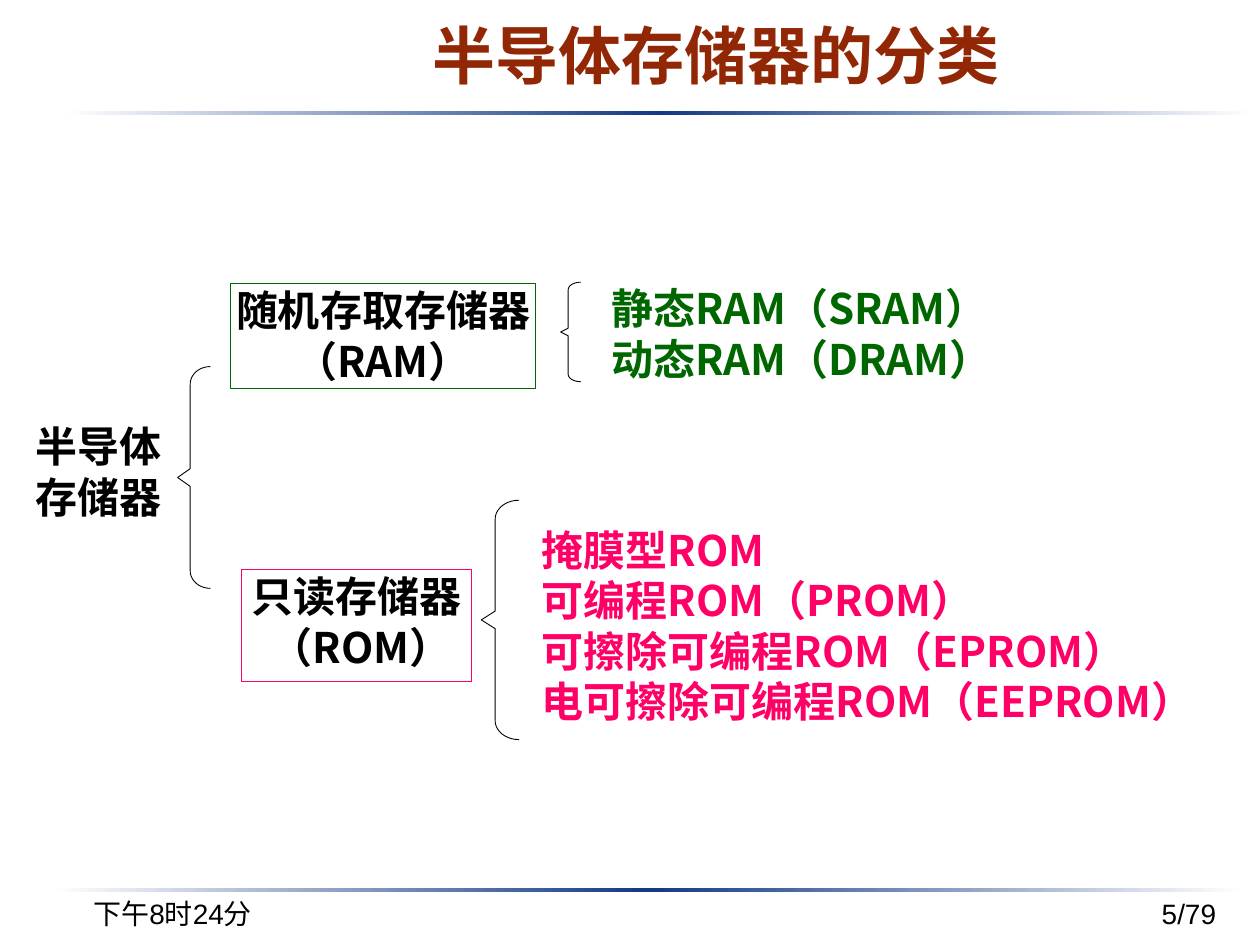
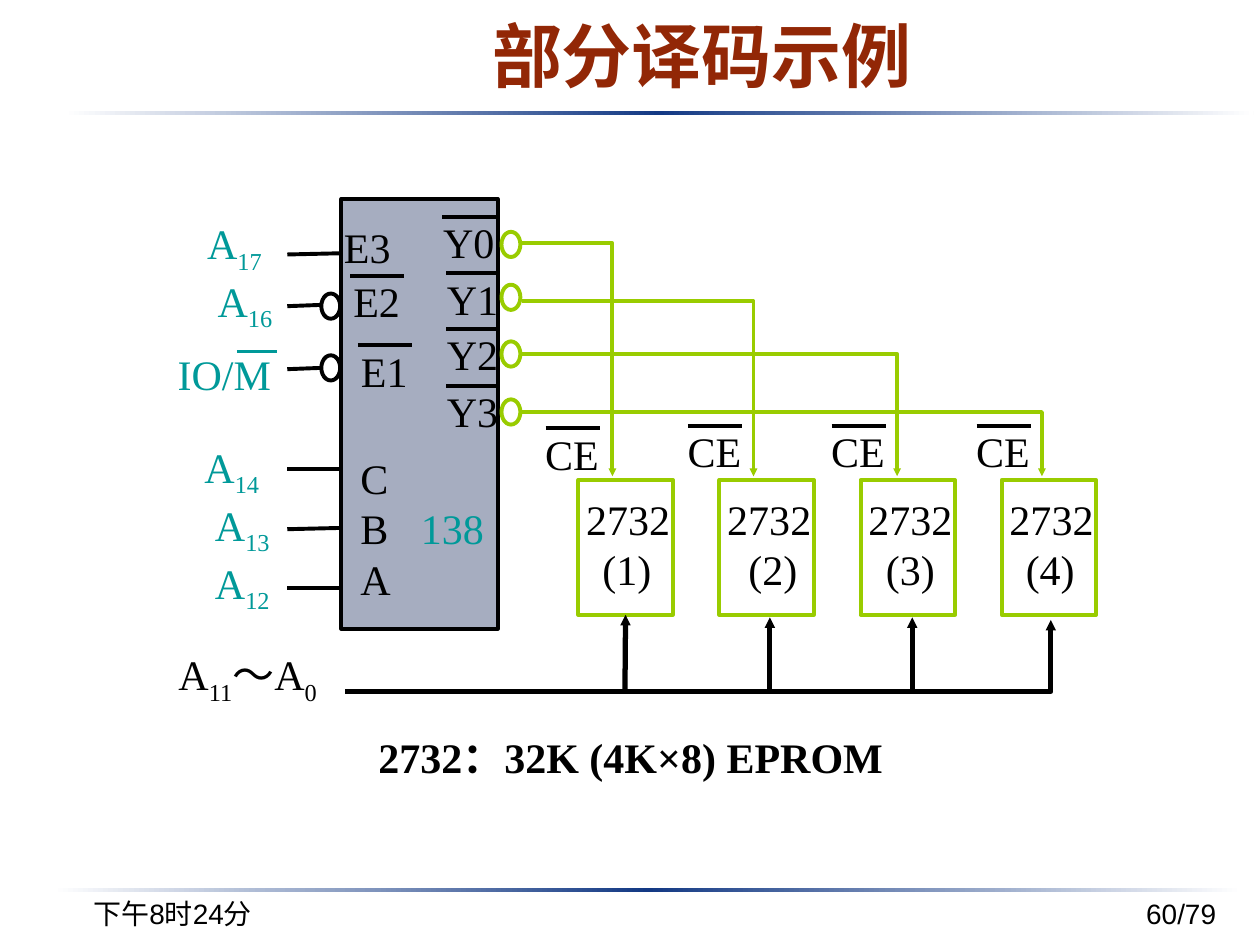
from dataclasses import dataclass
from math import cos, pi, sin
from typing import NamedTuple

from lxml.etree import SubElement
from pptx import Presentation
from pptx.dml.color import RGBColor
from pptx.enum.shapes import MSO_CONNECTOR as CONN, MSO_SHAPE as SHAPE
from pptx.enum.text import MSO_ANCHOR as ANCHOR, PP_ALIGN as ALIGN
from pptx.oxml.ns import qn
from pptx.util import Pt

PX = 9144


@dataclass(frozen=True)
class Theme:
    white: str = "FFFFFF"
    black: str = "000000"
    navy: str = "133984"
    rust: str = "922706"
    green: str = "006600"
    pink: str = "FF0066"
    teal: str = "009999"
    lime: str = "99CC00"
    chip: str = "A6ADC0"
    sans: str = "Arial"
    cjk: str = "Noto Sans CJK SC"
    serif: str = "Times New Roman"
    body: int = 24
    footer: int = 16
    hair: float = 0.5
    wire: float = 2.25
    bus: float = 3


T = Theme()


class Box(NamedTuple):
    x: int
    y: int
    w: int
    h: int


class Style(NamedTuple):
    font: str
    color: str = T.black
    size: int = T.body
    bold: bool = False
    align: ALIGN = ALIGN.CENTER
    anchor: ANCHOR = ANCHOR.TOP
    inset: tuple[int, int, int, int] = (1, 1, 1, 1)
    wrap: bool = True
    before: float = 0


class Brace(NamedTuple):
    outer: int
    stem: int
    tip: int
    top: int
    bottom: int
    corner: int
    notch: int


class Output(NamedTuple):
    label_x: int
    label_y: int
    bubble_y: int
    wire_y: int
    drop_x: int
    ce_x: int
    ce_y: int
    number_x: int


SERIF = Style(T.serif)
SIGNAL = Style(T.serif, T.teal)
LEFT = Style(T.serif, align=ALIGN.LEFT)
HEADING = Style(T.cjk, bold=True)
FOOTER = Style(T.sans, size=T.footer, anchor=ANCHOR.MIDDLE,
               inset=(10, 5, 10, 5), wrap=False)

BRACES = [
    Brace(167, 151, 141, 291, 467, 14, 7),
    Brace(412, 393, 382, 397, 587, 15, 7),
    Brace(461, 451, 445, 224, 303, 6, 3),
]
OUTPUTS = [
    Output(319, 171, 184, 193, 486, 401, 339, 473),
    Output(322, 216, 226, 239, 598, 514, 337, 593),
    Output(322, 260, 271, 281, 712, 628, 337, 698),
    Output(322, 305, 317, 327, 827, 743, 337, 809),
]
INPUTS = [(271, 201, 202), (255, 242, 243), (255, 292, 293),
          (271, 372, 372), (271, 419, 420), (271, 467, 467)]


def rgb(color: str) -> RGBColor:
    return RGBColor.from_string(color)


def emu(*lengths: float) -> list[int]:
    return [round(v * PX) for v in lengths]


def stroke(line, color: str, width: float, arrow: bool = False) -> None:
    line.color.rgb = rgb(color)
    line.width = Pt(width)
    if arrow:
        ln = line._get_or_add_ln()
        SubElement(ln, qn("a:tailEnd"), type="triangle", w="sm", len="sm")


def write(sp, lines: list[str], style: Style) -> None:
    tf = sp.text_frame
    tf.word_wrap = style.wrap
    tf.vertical_anchor = style.anchor
    (tf.margin_left, tf.margin_top,
     tf.margin_right, tf.margin_bottom) = emu(*style.inset)
    for i, line in enumerate(lines):
        p = tf.paragraphs[0] if i == 0 else tf.add_paragraph()
        p.alignment = style.align
        if style.before:
            p.space_before = Pt(style.before)
        p.font.name, p.font.bold = style.font, style.bold
        p.font.size = Pt(style.size)
        p.font.color.rgb = rgb(style.color)
        latin = p._p.pPr.find(qn("a:defRPr")).find(qn("a:latin"))
        ea = SubElement(latin.getparent(), qn("a:ea"), typeface=T.cjk)
        latin.addnext(ea)
        for j, part in enumerate(line.split("_")):
            r = p.add_run()
            r.text = part
            if j % 2:
                r._r.get_or_add_rPr().set("baseline", "-25000")


def text(s, box: Box, lines: list[str], style: Style) -> None:
    write(s.shapes.add_textbox(*emu(*box)), lines, style)


def shape(s, kind: SHAPE, box: Box, color: str, width: float, fill: str = ""):
    sp = s.shapes.add_shape(kind, *emu(*box))
    sp.shadow.inherit = False
    if fill:
        sp.fill.solid()
        sp.fill.fore_color.rgb = rgb(fill)
    else:
        sp.fill.background()
    stroke(sp.line, color, width)
    return sp


def line(s, start: tuple[int, int], end: tuple[int, int], color: str = T.black,
         width: float = T.wire, arrow: bool = False):
    c = s.shapes.add_connector(CONN.STRAIGHT, *emu(*start, *end))
    stroke(c.line, color, width, arrow)
    SubElement(c._element.spPr, qn("a:effectLst"))
    return c


def polyline(s, points: list[tuple[float, float]], color: str, width: float,
             arrow: bool = False) -> None:
    first, *rest = [tuple(emu(*pt)) for pt in points]
    builder = s.shapes.build_freeform(*first)
    builder.add_line_segments(rest, close=False)
    sp = builder.convert_to_shape()
    sp.shadow.inherit = False
    sp.fill.background()
    stroke(sp.line, color, width, arrow)


def brace(s, b: Brace) -> None:
    steps = 10
    mid = (b.top + b.bottom) / 2
    arc = [(b.outer - (b.outer - b.stem) * sin(a), b.corner * (1 - cos(a)))
           for a in (pi / 2 * i / steps for i in range(steps + 1))]
    upper = [(x, b.top + dy) for x, dy in arc]
    lower = [(x, b.bottom - dy) for x, dy in arc]
    spine = [upper[-1], (b.stem, mid - b.notch), (b.tip, mid),
             (b.stem, mid + b.notch), lower[-1]]
    for points in (upper, spine, lower):
        polyline(s, points, T.black, T.hair)


def rule(s, x: int, y: int) -> None:
    half = 472
    for i, colors in enumerate([(T.white, T.navy), (T.navy, T.white)]):
        sp = s.shapes.add_shape(SHAPE.RECTANGLE, *emu(x + i * half, y, half, 3))
        sp.shadow.inherit = False
        sp.line.fill.background()
        sp.fill.gradient()
        sp.fill.gradient_angle = 0
        for stop, position, color in zip(sp.fill.gradient_stops, (0, 1), colors):
            stop.position = position
            stop.color.rgb = rgb(color)


def new_slide(prs, title: str, box: Box, size: int, page: str):
    s = prs.slides.add_slide(prs.slide_layouts[6])
    rule(s, 51, 88)
    rule(s, 42, 705)
    text(s, Box(33, 700, 208, 50), ["下午8时24分"], FOOTER)
    text(s, Box(767, 700, 208, 50), [page], FOOTER._replace(align=ALIGN.RIGHT))
    text(s, box, [title], Style(T.sans, T.rust, size, True, inset=(10, 6, 10, 5)))
    return s


def overlined(s, x: int, y: int, label: str) -> None:
    text(s, Box(x, y, 106, 41), [label], SERIF)
    line(s, (x + 32, y + 1), (x + 75, y + 1))


def classification(prs) -> None:
    s = new_slide(prs, "半导体存储器的分类", Box(260, 7, 616, 84), 36, "5/79")
    text(s, Box(27, 334, 103, 81), ["半导体", "存储器"],
         HEADING._replace(inset=(0, 0, 0, 0)))
    families = [
        (Box(192, 452, 182, 89), ["只读存储器", " （ROM）"], T.pink,
         Box(429, 382, 535, 228),
         ["掩膜型ROM", "可编程ROM（PROM）", "可擦除可编程ROM（EPROM）",
          "电可擦除可编程ROM（EEPROM）"]),
        (Box(183, 225, 242, 83), ["随机存取存储器", "（RAM）"], T.green,
         Box(484, 208, 398, 113), ["静态RAM（SRAM）", "动态RAM（DRAM）"]),
    ]
    for box, name, color, member_box, members in families:
        write(shape(s, SHAPE.RECTANGLE, box, color, T.hair), name, HEADING)
        text(s, member_box, members, HEADING._replace(
            color=color, align=ALIGN.LEFT, anchor=ANCHOR.MIDDLE))
    for b in BRACES:
        brace(s, b)


def decoding(prs) -> None:
    s = new_slide(prs, "部分译码示例", Box(306, 4, 502, 75), 40, "60/79")
    shape(s, SHAPE.RECTANGLE, Box(271, 158, 124, 341), T.black, T.wire, T.chip)
    right = SIGNAL._replace(align=ALIGN.RIGHT)
    for box, lines, style in [
        (Box(327, 398, 64, 50), ["138"], SIGNAL),
        (Box(142, 172, 75, 106), ["A_17_ ", "A_16"], right),
        (Box(125, 276, 106, 41), ["IO/M"], SIGNAL),
        (Box(151, 349, 64, 152), ["A_14_ ", "A_13", "A_12"],
         right._replace(before=0.4)),
        (Box(122, 514, 149, 66), ["A_11_～A_0"], SERIF),
        (Box(285, 358, 41, 157), ["C", "B", "A"], LEFT),
        (Box(272, 175, 86, 165), ["E3"], LEFT),
        (Box(272, 576, 457, 50), ["2732：32K (4K×8) EPROM"],
         SERIF._replace(bold=True, inset=(10, 5, 10, 5))),
    ]:
        text(s, box, lines, style)
    line(s, (188, 279), (220, 279), T.teal)
    overlined(s, 246, 218, "E2")
    overlined(s, 252, 273, "E1")
    for y in (233, 282):
        shape(s, SHAPE.OVAL, Box(255, y, 15, 20), T.black, T.wire)
    for x, y, outer_y in INPUTS:
        line(s, (x, y), (228, outer_y))

    memories = []
    for i, o in enumerate(OUTPUTS):
        x = 459 + 112 * i
        memories.append(shape(s, SHAPE.RECTANGLE, Box(x, 381, 75, 107),
                              T.lime, T.wire))
        text(s, Box(x - 3, 391, 85, 50), ["2732"], SERIF)
        text(s, Box(o.number_x, 430, 49, 49), [f"({i + 1})"],
             LEFT if i == 1 else SERIF)
        shape(s, SHAPE.OVAL, Box(398, o.bubble_y, 15, 20), T.lime, T.wire)
        polyline(s, [(414, o.wire_y), (o.drop_x, o.wire_y), (o.drop_x, 378)],
                 T.lime, T.wire, arrow=True)
        overlined(s, o.label_x, o.label_y, f"Y{i}")
        overlined(s, o.ce_x, o.ce_y, "CE")

    bus_y = 549
    polyline(s, [(274, bus_y), (834, bus_y), (834, 492)], T.black, T.bus, arrow=True)
    taps = [line(s, (x, bus_y), (x, y), width=T.bus, arrow=True)
            for x, y in [(496, 488), (611, 490), (724, 490)]]
    taps[0].end_connect(memories[0], 2)


def main() -> None:
    prs = Presentation()
    prs.slide_width, prs.slide_height = emu(1000, 750)
    classification(prs)
    decoding(prs)
    prs.save("out.pptx")


if __name__ == "__main__":
    main()
